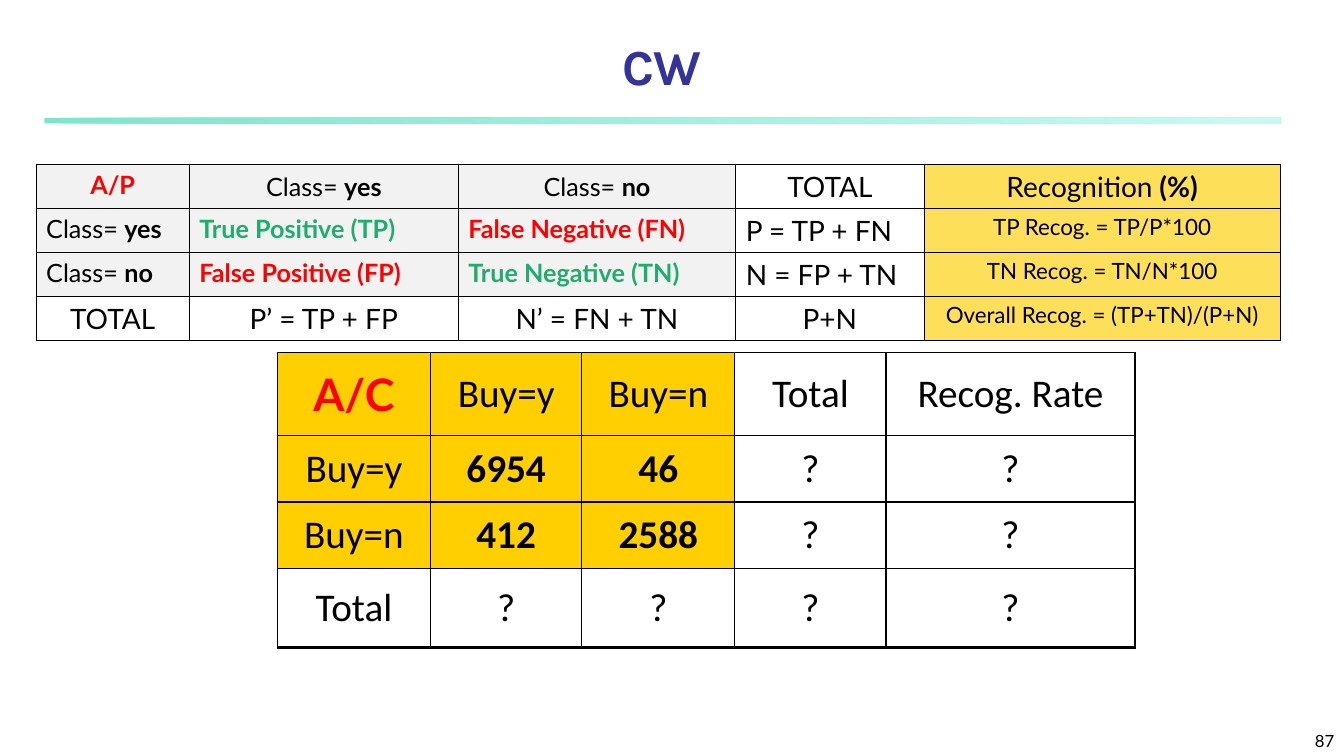
import pptx
import pptx.dml.color
import pptx.enum.shapes
import pptx.enum.text
import pptx.oxml
import pptx.oxml.ns
import pptx.util

Cm, Pt = pptx.util.Cm, pptx.util.Pt
ALIGN = pptx.enum.text.PP_ALIGN
ANCHOR = pptx.enum.text.MSO_ANCHOR

# Content: text after "|" is bold
TITLE = "CW"
PAGE_NUMBER = "87"
COLORS = {
    "black": "000000", "white": "FFFFFF", "navy": "333399", "red": "FF0000",
    "green": "20AC6F", "grey": "F2F2F2", "pale gold": "FEDF59", "gold": "FFCF01",
    "bar start": "00CE98", "bar end": "8FF9EF",
}
STYLES = {
    "corner": dict(size=18, color="red", bold=True, align=ALIGN.CENTER),
    "class": dict(size=18, align=ALIGN.CENTER, anchor=ANCHOR.MIDDLE),
    "row class": dict(size=18),
    "right": dict(size=18, color="green", bold=True),
    "wrong": dict(size=18, color="red", bold=True),
    "sum": dict(size=20),
    "total": dict(size=20, align=ALIGN.CENTER),
    "rate": dict(size=16, align=ALIGN.CENTER),
    "big corner": dict(size=32, color="red", bold=True,
                       align=ALIGN.CENTER, anchor=ANCHOR.MIDDLE),
    "big": dict(size=28, font="Calibri", align=ALIGN.CENTER, anchor=ANCHOR.MIDDLE),
}
FORMULAS = [
    [("A/P", "corner"), ("Class= |yes", "class"), ("Class= |no", "class"),
     ("TOTAL", "total"), ("Recognition| (%)", "total")],
    [("Class= |yes", "row class"), ("True Positive (TP)", "right"),
     ("False Negative (FN)", "wrong"), ("P = TP + FN", "sum"),
     ("TP Recog. = TP/P*100", "rate")],
    [("Class= |no", "row class"), ("False Positive (FP)", "wrong"),
     ("True Negative (TN)", "right"), ("N = FP + TN", "sum"),
     ("TN Recog. = TN/N*100", "rate")],
    [("TOTAL", "total"), ("P’ = TP + FP", "total"), ("N’ = FN + TN", "total"),
     ("P+N", "total"), ("Overall Recog. = (TP+TN)/(P+N)", "rate")],
]
EXERCISE = [
    [("A/C", "big corner"), ("Buy=y", "big"), ("Buy=n", "big"),
     ("Total", "big"), ("Recog. Rate", "big")],
    [("Buy=y", "big"), ("|6954", "big"), ("|46", "big"), ("?", "big"), ("?", "big")],
    [("Buy=n", "big"), ("|412", "big"), ("|2588", "big"), ("?", "big"), ("?", "big")],
    [("Total", "big")] + [("?", "big")] * 4,
]
TABLES = [
    dict(rows=EXERCISE, left=6.99, top=8.89, widths=[3.86, 3.81, 3.86, 3.81, 6.27],
         heights=[2.08, 1.68, 1.68, 1.98], core="gold", last="white", edge=2.25),
    dict(rows=FORMULAS, left=0.91, top=4.14, widths=[3.86, 6.78, 6.99, 4.75, 8.97],
         heights=[1.11] * 4, core="grey", last="pale gold", edge=1),
]


def rgb(name):
    return pptx.dml.color.RGBColor.from_string(COLORS[name])


def write(frame, text, size=18, font="Lato", color="black", bold=False,
          align=ALIGN.LEFT, anchor=ANCHOR.TOP):
    frame.word_wrap = True
    frame.vertical_anchor = anchor
    para = frame.paragraphs[0]
    para.alignment = align
    for index, part in enumerate(text.split("|")):
        if part:
            span = para.add_run()
            span.text = part
            span.font.size = Pt(size)
            span.font.name = font
            span.font.bold = bold or index > 0
            span.font.color.rgb = rgb(color)


def draw_borders(cell, widths):
    for side, width in widths.items():
        cell._tc.get_or_add_tcPr().append(pptx.oxml.parse_xml(
            f'<a:ln{side} {pptx.oxml.ns.nsdecls("a")} w="{Pt(width)}"><a:solidFill>'
            f'<a:srgbClr val="{COLORS["black"]}"/></a:solidFill></a:ln{side}>'))


def add_grid(page, rows, left, top, widths, heights, core, last, edge):
    last_row, last_col = len(heights) - 1, len(widths) - 1
    table = page.shapes.add_table(len(heights), len(widths), Cm(left), Cm(top),
                                  Cm(sum(widths)), Cm(sum(heights))).table
    table.first_row = table.horz_banding = False
    for column, width in zip(table.columns, widths):
        column.width = Cm(width)
    for r, row in enumerate(rows):
        table.rows[r].height = Cm(heights[r])
        for c, (text, style) in enumerate(row):
            cell = table.cell(r, c)
            draw_borders(cell, {"L": 1, "R": edge if c == last_col else 1,
                                "T": 1, "B": edge if r == last_row else 1})
            in_core = r < last_row and c < last_col - 1
            cell.fill.solid()
            cell.fill.fore_color.rgb = rgb(
                core if in_core else last if c == last_col else "white")
            write(cell.text_frame, text, **STYLES[style])
            cell.vertical_anchor = STYLES[style].get("anchor", ANCHOR.TOP)


def main():
    deck = pptx.Presentation()
    deck.slide_width, deck.slide_height = Cm(33.87), Cm(19.05)
    page = deck.slides.add_slide(deck.slide_layouts[5])

    # Title and gradient bar beneath it
    title = page.shapes.title
    title.left, title.top, title.width, title.height = Cm(1.12), Cm(0.84), Cm(31.12), Cm(1.7)
    title.text_frame.auto_size = pptx.enum.text.MSO_AUTO_SIZE.NONE
    write(title.text_frame, TITLE, size=36, font="Karla", color="navy", bold=True,
          align=ALIGN.CENTER, anchor=ANCHOR.BOTTOM)

    bar = page.shapes.add_shape(pptx.enum.shapes.MSO_SHAPE.RECTANGLE,
                                Cm(1.12), Cm(2.97), Cm(31.14), Cm(0.14))
    bar.shadow.inherit = False
    bar.line.fill.background()
    bar.fill.gradient()
    bar.fill.gradient_angle = 0
    for stop, place, name in zip(bar.fill.gradient_stops, (0, 1), ("bar start", "bar end")):
        stop.position = place
        stop.color.rgb = rgb(name)
    for color in bar._element.spPr.iter(pptx.oxml.ns.qn("a:srgbClr")):
        color.append(pptx.oxml.parse_xml(
            f'<a:alpha {pptx.oxml.ns.nsdecls("a")} val="51000"/>'))

    # Tables
    for grid in TABLES:
        add_grid(page, **grid)

    # Page number
    box = page.shapes.add_textbox(Cm(26.82), Cm(17.98), Cm(7.06), Cm(1.07))
    write(box.text_frame, PAGE_NUMBER, size=12, align=ALIGN.RIGHT, anchor=ANCHOR.BOTTOM)

    deck.save("out.pptx")


if __name__ == "__main__":
    main()
